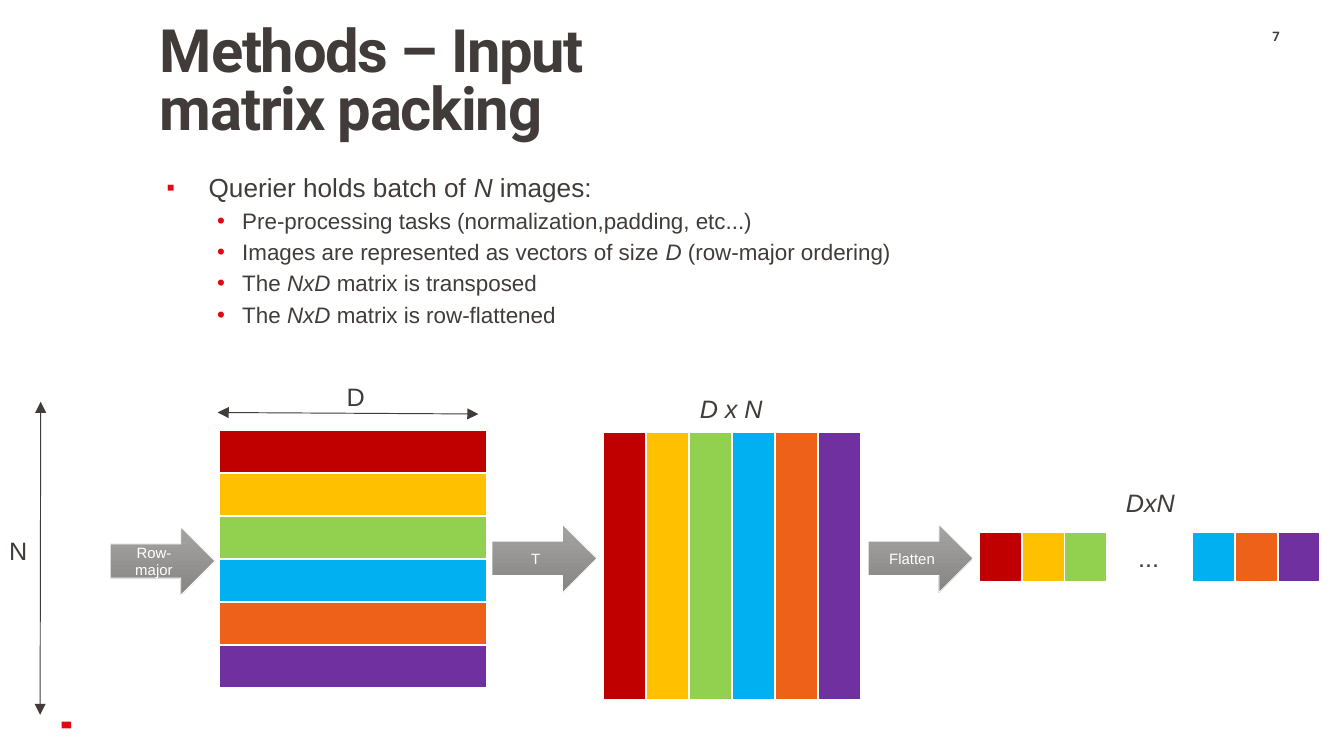
from typing import NamedTuple

from lxml import etree
from pptx import Presentation
from pptx import util as u
from pptx.dml.color import RGBColor
from pptx.enum import shapes, text
from pptx.oxml import ns

INK = RGBColor(0x41, 0x3C, 0x3A)
WHITE = RGBColor(0xFF, 0xFF, 0xFF)
ACCENT = RGBColor(0xE3, 0x06, 0x13)
ARROW_TOP = RGBColor(0xA5, 0xA4, 0xA3)
ARROW_BOTTOM = RGBColor(0x86, 0x85, 0x84)
IMAGE_COLORS = [
    RGBColor(0xC0, 0x00, 0x00), RGBColor(0xFF, 0xC0, 0x00), RGBColor(0x92, 0xD0, 0x50),
    RGBColor(0x00, 0xB0, 0xF0), RGBColor(0xED, 0x61, 0x18), RGBColor(0x70, 0x30, 0xA0),
]


class Box(NamedTuple):
    """Left, top, width and height in points."""
    left: float
    top: float
    width: float
    height: float

    def lengths(self) -> list:
        return [u.Pt(value) for value in self]


class Step(NamedTuple):
    label: str
    left: float
    top: float


class Label(NamedTuple):
    words: str
    box: Box
    centered: bool = False
    italic: bool = False


class Bullet(NamedTuple):
    level: int
    runs: list  # every second run is italic


class BulletStyle(NamedTuple):
    char: str
    char_percent: int
    size: float
    indent: float
    hanging: float
    space_before: float


STEPS = [Step("Row-major", 59, 282.2), Step("T", 263.5, 280.8), Step("Flatten", 465.1, 280.8)]
LABELS = [
    Label("N", Box(-2.2, 283, 20.9, 40.3)),
    Label("D", Box(178.6, 200.9, 20.9, 23.8)),
    Label("D x N", Box(283.7, 207.4, 216, 23.8), centered=True, italic=True),
    Label("DxN", Box(508.3, 257.8, 216, 23.8), centered=True, italic=True),
]
BULLETS = [
    Bullet(0, ["Querier holds batch of ", "N ", "images:"]),
    Bullet(1, ["Pre-processing tasks (normalization,padding, etc...)"]),
    Bullet(1, ["Images are represented as vectors of size ", "D ", "(row-major ordering)"]),
    Bullet(1, ["The ", "NxD ", "matrix is transposed"]),
    Bullet(1, ["The ", "NxD ", "matrix is row-flattened"]),
]
BULLET_STYLES = [
    BulletStyle("▪", 90, 14, 22.5, 22.5, 7.5),
    BulletStyle("•", 100, 12, 40.5, 13.5, 3.8),
]


def add_run(paragraph, words: str, *, size: float, font: str = "Arial",
            color: RGBColor = INK, bold: bool = False, italic: bool = False):
    run = paragraph.add_run()
    run.text = words
    run.font.name = font
    run.font.size = u.Pt(size)
    run.font.color.rgb = color
    run.font.bold = bold
    run.font.italic = italic
    return run


def set_frame(frame, left: float = 7.2, top: float = 3.6, right: float = 7.2,
              bottom: float = 3.6, anchor=text.MSO_ANCHOR.TOP) -> None:
    frame.word_wrap = True
    frame.auto_size = text.MSO_AUTO_SIZE.NONE
    frame.vertical_anchor = anchor
    frame.margin_left, frame.margin_top = u.Pt(left), u.Pt(top)
    frame.margin_right, frame.margin_bottom = u.Pt(right), u.Pt(bottom)


def add_centered_text(shape, words: str, **run_format) -> None:
    set_frame(shape.text_frame, anchor=text.MSO_ANCHOR.MIDDLE)
    paragraph = shape.text_frame.paragraphs[0]
    paragraph.alignment = text.PP_ALIGN.CENTER
    add_run(paragraph, words, **run_format)


def add_rectangle(slide, box: Box, fill: RGBColor, line: RGBColor, rotation: float = 0):
    shape = slide.shapes.add_shape(shapes.MSO_SHAPE.RECTANGLE, *box.lengths())
    shape.shadow.inherit = False
    shape.fill.solid()
    shape.fill.fore_color.rgb = fill
    shape.line.color.rgb = line
    shape.line.width = u.Pt(1)
    shape.rotation = rotation
    return shape


def add_step(slide, step: Step) -> None:
    shape = slide.shapes.add_shape(
        shapes.MSO_SHAPE.RIGHT_ARROW, *Box(step.left, step.top, 56.2, 36.7).lengths())
    shape.shadow.inherit = False
    shape.fill.gradient()
    shape.fill.gradient_angle = 270
    for stop, color in zip(shape.fill.gradient_stops, (ARROW_TOP, ARROW_BOTTOM)):
        stop.color.rgb = color
    shape.line.color.rgb = WHITE
    shape.line.width = u.Pt(0.5)
    add_centered_text(shape, step.label, size=8, color=WHITE)


def add_dimension_line(slide, *ends: float) -> None:
    line = slide.shapes.add_connector(
        shapes.MSO_CONNECTOR.STRAIGHT, *[u.Pt(value) for value in ends])
    line.line.color.rgb = INK
    line.line.width = u.Pt(0.5)
    outline = line.line._get_or_add_ln()
    for end in ("a:headEnd", "a:tailEnd"):
        etree.SubElement(outline, ns.qn(end), type="triangle")
    etree.SubElement(line._element.spPr, ns.qn("a:effectLst"))


def add_label(slide, label: Label) -> None:
    frame = slide.shapes.add_textbox(*label.box.lengths()).text_frame
    set_frame(frame)
    paragraph = frame.paragraphs[0]
    if label.centered:
        paragraph.alignment = text.PP_ALIGN.CENTER
    add_run(paragraph, label.words, size=13.5, italic=label.italic)


def add_bullet(paragraph, bullet: Bullet) -> None:
    style = BULLET_STYLES[bullet.level]
    paragraph.level = bullet.level
    paragraph.line_spacing = 0.9
    paragraph.space_before = u.Pt(style.space_before)
    properties = paragraph._p.get_or_add_pPr()
    properties.set("marL", str(u.Pt(style.indent)))
    properties.set("indent", str(-u.Pt(style.hanging)))
    color = etree.SubElement(properties, ns.qn("a:buClr"))
    etree.SubElement(color, ns.qn("a:srgbClr"), val=str(ACCENT))
    etree.SubElement(properties, ns.qn("a:buSzPct"), val=str(style.char_percent * 1000))
    etree.SubElement(properties, ns.qn("a:buFont"), typeface="Arial")
    etree.SubElement(properties, ns.qn("a:buChar"), char=style.char)
    for index, words in enumerate(bullet.runs):
        add_run(paragraph, words, size=style.size, italic=index % 2 == 1)


def main() -> None:
    presentation = Presentation()
    presentation.slide_width, presentation.slide_height = u.Pt(720), u.Pt(405)
    slide = presentation.slides.add_slide(presentation.slide_layouts[5])

    # Title, page number and corner mark
    title = slide.shapes.title
    title.left, title.top, title.width, title.height = Box(71.3, 14.4, 288.7, 84.2).lengths()
    set_frame(title.text_frame, left=14.4, top=0, right=5.8)
    heading = title.text_frame.paragraphs[0]
    heading.alignment = text.PP_ALIGN.LEFT
    heading.line_spacing = 0.8
    run = add_run(heading, "Methods – Input matrix packing", size=32, font="Roboto", bold=True)
    run.font._element.set("spc", "-70")

    number = slide.shapes.add_textbox(*Box(647.3, 15.1, 72.7, 46.1).lengths()).text_frame
    set_frame(number, top=0, bottom=0)
    number.paragraphs[0].alignment = text.PP_ALIGN.CENTER
    add_run(number.paragraphs[0], "7", size=7, font="Roboto", bold=True)
    mark = add_rectangle(slide, Box(33.8, 385.9, 3.6, 5), ACCENT, ACCENT, rotation=270)
    mark.line.fill.background()

    # Bullet list
    body = slide.shapes.add_textbox(*Box(74.9, 90, 601.9, 109.4).lengths()).text_frame
    set_frame(body, left=14.4)
    for index, bullet in enumerate(BULLETS):
        add_bullet(body.add_paragraph() if index else body.paragraphs[0], bullet)

    # N x D matrix as rows, its transpose as columns, and the flattened vector
    strip_length, strip_step = 143.5, 23.04
    cell_left, cell_step, cell_top, cell_height = 525.6, 22.84, 285.8, 25.2
    for index, color in enumerate(IMAGE_COLORS):
        offset = index * strip_step
        add_rectangle(slide, Box(117.4, 230.4 + offset, strip_length, strip_step), color, WHITE)
        add_rectangle(slide, Box(262.8 + offset, 291.8, strip_length, strip_step),
                      color, WHITE, rotation=90)
        slot = index if index < 3 else index + 2
        add_rectangle(slide, Box(cell_left + slot * cell_step, cell_top, 20.9, cell_height),
                      color, color)
    gap = add_rectangle(slide, Box(cell_left + 3 * cell_step, cell_top, 42.5, cell_height),
                        WHITE, WHITE)
    add_centered_text(gap, "...", size=13.5)

    # Dimensions, labels and processing steps
    add_dimension_line(slide, 21.8, 215.3, 21.5, 383)
    add_dimension_line(slide, 116.6, 221, 256.3, 221.8)
    for label in LABELS:
        add_label(slide, label)
    for step in STEPS:
        add_step(slide, step)

    presentation.save("out.pptx")


if __name__ == "__main__":
    main()
